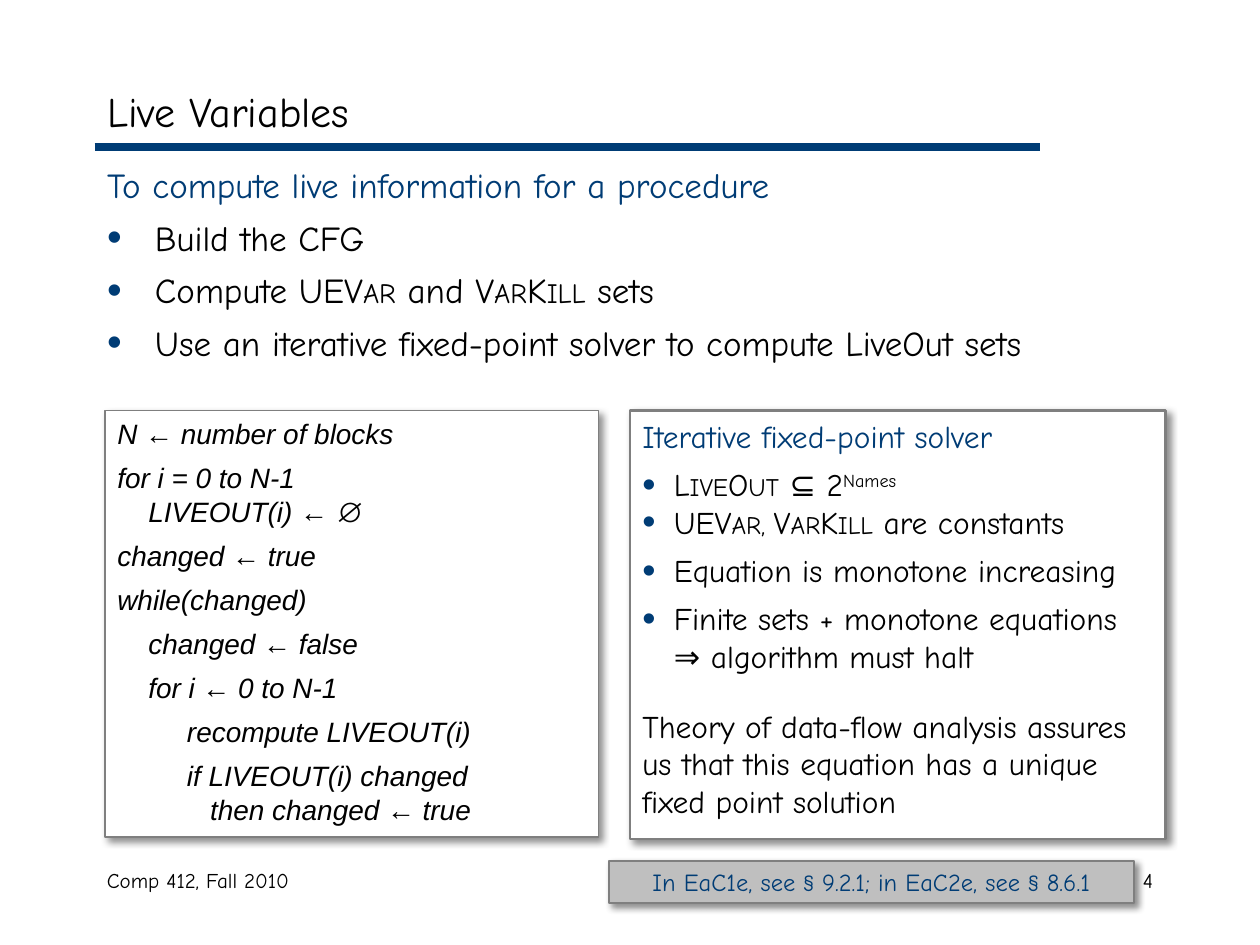
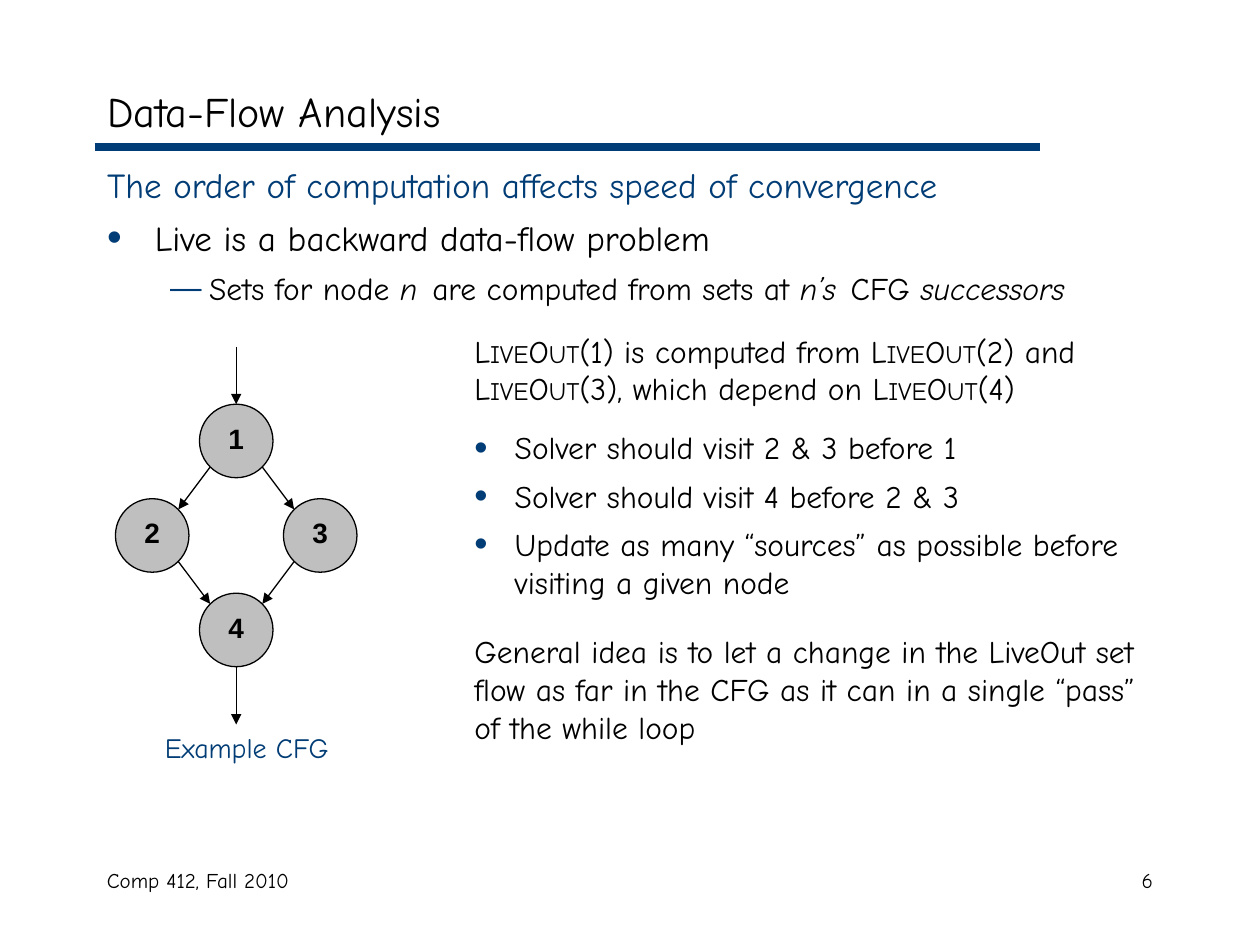
from dataclasses import dataclass, field

from lxml import etree
from pptx import Presentation
from pptx import util as u
from pptx.dml.color import RGBColor
from pptx.enum import shapes, text
from pptx.oxml import ns

SLIDE_WIDTH, SLIDE_HEIGHT = u.Inches(10), u.Inches(7.5)
COLUMNS, ROWS = 120, 90


@dataclass(frozen=True)
class Theme:
    accent: str = "003C75"
    ink: str = "000000"
    paper: str = "FFFFFF"
    grey: str = "BFBFBF"
    edge: str = "7F7F7F"
    font: str = "Comic Neue"
    code_font: str = "Arial"
    title: int = 24
    body: int = 20
    detail: int = 18
    label: int = 16
    note: int = 14
    footer: int = 12


THEME = Theme()
SMALL_CAPS = {"cap": "small"}
SUPERSCRIPT = {"baseline": "30000"}
WIDE = {"spc": "250"}
ITALIC = {"i": "1"}


@dataclass(frozen=True)
class Box:
    """A region in grid columns and rows."""
    left: float
    top: float
    width: float
    height: float

    def place(self):
        return (*grid_point(self.left, self.top), *grid_point(self.width, self.height))


@dataclass
class Para:
    """A paragraph; runs are plain strings or (string, run attributes) pairs."""
    runs: list
    size: int = THEME.detail
    color: str = THEME.ink
    font: str = THEME.font
    bold: bool = False
    italic: bool = False
    before: int = 6
    align: int = text.PP_ALIGN.LEFT
    bullet: str = ""
    bullet_size: int = 120
    indent: tuple = field(default=(0, 0))
    level: int = 0


def grid_point(column, row):
    return int(SLIDE_WIDTH * column / COLUMNS), int(SLIDE_HEIGHT * row / ROWS)


def set_attributes(target, values):
    for name, value in values.items():
        setattr(target, name, value)


def add_element(parent, tag, **attributes):
    return etree.SubElement(parent, ns.qn(tag), {k: str(v) for k, v in attributes.items()})


def add_bullet(properties, para):
    if not para.bullet:
        add_element(properties, "a:buNone")
        return
    color = add_element(properties, "a:buClr")
    add_element(color, "a:srgbClr", val=THEME.accent)
    add_element(properties, "a:buSzPct", val=para.bullet_size * 1000)
    add_element(properties, "a:buFont", typeface="Arial")
    add_element(properties, "a:buChar", char=para.bullet)


def write(shape, paras, anchor=text.MSO_ANCHOR.TOP, fit=text.MSO_AUTO_SIZE.NONE):
    frame = shape.text_frame
    set_attributes(frame, {"word_wrap": True, "vertical_anchor": anchor, "auto_size": fit})
    for index, para in enumerate(paras):
        paragraph = frame.add_paragraph() if index else frame.paragraphs[0]
        set_attributes(paragraph, {
            "alignment": para.align, "level": para.level,
            "space_before": u.Pt(para.before if index else 0)})
        properties = paragraph._p.get_or_add_pPr()
        for name, inches in zip(("marL", "indent"), para.indent):
            properties.set(name, str(u.Inches(inches)))
        add_bullet(properties, para)
        for item in para.runs:
            words, extras = (item, {}) if isinstance(item, str) else item
            run = paragraph.add_run()
            run.text = words
            set_attributes(run.font, {
                "name": para.font, "size": u.Pt(para.size),
                "bold": para.bold, "italic": para.italic})
            run.font.color.rgb = RGBColor.from_string(para.color)
            for name, value in extras.items():
                run._r.get_or_add_rPr().set(name, value)


def add_text(slide, box, paras, **options):
    write(slide.shapes.add_textbox(*box.place()), paras, **options)


def add_filled(parent, kind, box, fill, line, line_width):
    shape = parent.shapes.add_shape(kind, *box.place())
    shape.shadow.inherit = False
    shape.fill.solid()
    shape.fill.fore_color.rgb = RGBColor.from_string(fill)
    shape.line.color.rgb = RGBColor.from_string(line)
    shape.line.width = u.Pt(line_width)
    return shape


def add_panel(slide, box, paras, fill=THEME.paper, line_width=1.5):
    """Add a bordered text panel with a soft drop shadow."""
    panel = add_filled(slide, shapes.MSO_SHAPE.RECTANGLE, box, fill, THEME.edge, line_width)
    effects = panel._element.spPr.find(ns.qn("a:effectLst"))
    shadow = add_element(effects, "a:outerShdw", blurRad=u.Pt(4), dist=u.Pt(3),
                         dir=45 * 60000, algn="tl", rotWithShape=0)
    color = add_element(shadow, "a:srgbClr", val=THEME.ink)
    add_element(color, "a:alpha", val=43000)
    write(panel, paras, fit=text.MSO_AUTO_SIZE.SHAPE_TO_FIT_TEXT)


def add_line(parent, start, end, color, width, arrow=False):
    line = parent.shapes.add_connector(
        shapes.MSO_CONNECTOR.STRAIGHT, *grid_point(*start), *grid_point(*end))
    line.line.color.rgb = RGBColor.from_string(color)
    line.line.width = u.Pt(width)
    if arrow:
        add_element(line.line._get_or_add_ln(), "a:tailEnd", type="triangle")
    add_element(line._element.spPr, "a:effectLst")


def bullets(items, indent, **options):
    return [Para(item if isinstance(item, list) else [item], bullet="•", indent=indent, **options)
            for item in items]


def body_paras(heading, items):
    indent = (0.38, -0.38)
    return [Para([heading], size=THEME.body, color=THEME.accent, indent=indent),
            *bullets(items, indent, size=THEME.body)]


def add_lecture_slide(presentation, number, title, body, body_box):
    """Start a slide with its title, rule, body list and footers."""
    slide = presentation.slides.add_slide(presentation.slide_layouts[1])
    heading, content = slide.placeholders
    for placeholder, box in ((heading, Box(9, 7, 102, 7)), (content, body_box)):
        set_attributes(placeholder, dict(zip(("left", "top", "width", "height"), box.place())))
    write(heading, [Para([title], size=THEME.title)], anchor=text.MSO_ANCHOR.MIDDLE)
    write(content, body)
    add_line(slide, (9, 14), (99, 14), THEME.accent, 4.5)
    add_text(slide, Box(9, 82, 38, 6), [Para(["Comp 412, Fall 2010"], size=THEME.footer)])
    add_text(slide, Box(86, 82, 25, 6),
             [Para([str(number)], size=THEME.footer, align=text.PP_ALIGN.RIGHT)])
    return slide


def add_solver_code(slide, box):
    lines = [
        ("N ← number of blocks", 0),
        ("for i = 0 to N-1", 6),
        ("    LIVEOUT(i) ← ∅", 0),
        ("changed ← true", 6),
        ("while(changed)", 6),
        ("    changed ← false", 6),
        ("    for i ← 0 to N-1", 6),
        ("         recompute LIVEOUT(i)", 6),
        ("         if LIVEOUT(i) changed", 6),
        ("            then changed ← true", 0),
    ]
    add_panel(slide, box, [
        Para([line], size=THEME.label, font=THEME.code_font, italic=True, before=before)
        for line, before in lines], line_width=1)


def add_solver_facts(slide, box):
    facts = bullets([
        [("LiveOut", SMALL_CAPS), " ⊆ 2", ("Names", SUPERSCRIPT)],
        [("UEVar, VarKill", SMALL_CAPS), " are constants"],
        "Equation is monotone increasing",
        "Finite sets + monotone equations ⇒ algorithm must halt",
    ], (0.25, -0.25))
    facts[1].before = 0
    add_panel(slide, box, [
        Para(["Iterative fixed-point solver"], color=THEME.accent),
        *facts,
        Para(["Theory of data-flow analysis assures us that this equation "
              "has a unique fixed point solution"], before=18)])


def add_flow_graph(slide, box):
    """Draw the four-node diamond with entry and exit arrows, and its caption."""
    diameter, column_step, row_step, stem = 7, 8, 9, 5.5
    radius = diameter / 2
    diagonal = radius * 0.71
    centres = {
        name: (box.left + radius + column * column_step,
               box.top + stem + radius + row * row_step)
        for name, column, row in (("1", 1, 0), ("2", 0, 1), ("3", 2, 1), ("4", 1, 2))}
    graph = slide.shapes.add_group_shape()
    for name, (x, y) in centres.items():
        node = add_filled(graph, shapes.MSO_SHAPE.OVAL,
                          Box(x - radius, y - radius, diameter, diameter),
                          THEME.grey, THEME.ink, 0.75)
        write(node, [Para([name], size=THEME.label, font=THEME.code_font, bold=True,
                          align=text.PP_ALIGN.CENTER)])
    edges = []
    for source, target in ("12", "13", "34", "24"):
        (x1, y1), (x2, y2) = centres[source], centres[target]
        side = diagonal if x2 > x1 else -diagonal
        edges.append(((x1 + side, y1 + diagonal), (x2 - side, y2 - diagonal)))
    middle = centres["1"][0]
    exit_top = centres["4"][1] + radius
    edges += [((middle, box.top), (middle, box.top + stem)),
              ((middle, exit_top), (middle, exit_top + stem))]
    for start, end in edges:
        add_line(graph, start, end, THEME.ink, 0.75, arrow=True)
    add_text(slide, Box(box.left, exit_top + stem, box.width, 4.4),
             [Para(["Example CFG"], size=THEME.label, color=THEME.accent,
                   align=text.PP_ALIGN.CENTER)])


def add_visit_order(slide, box):
    live_out = ("LiveOut", SMALL_CAPS)
    order = bullets([
        "Solver should visit 2 & 3 before 1",
        "Solver should visit 4 before 2 & 3",
        "Update as many “sources” as possible before visiting a given node",
    ], (0.32, -0.32))
    order[0].before = 12
    add_text(slide, box, [
        Para([live_out, "(1) is computed from ", live_out, "(2) and ", live_out,
              "(3), which depend on ", live_out, "(4)"]),
        *order,
        Para(["General idea is to let a change in the LiveOut set flow as far in the CFG "
              "as it can in a single “pass” of the while loop"], before=18)])


def build_live_variables(presentation):
    body = body_paras("To compute live information for a procedure", [
        "Build the CFG",
        ["Compute ", ("UEVar", SMALL_CAPS), " and ", ("VarKill", SMALL_CAPS), " sets"],
        "Use an iterative fixed-point solver to compute LiveOut sets"])
    slide = add_lecture_slide(presentation, 4, "Live Variables", body, Box(9, 15, 102, 65))
    add_solver_code(slide, Box(10, 39.1, 47, 40.6))
    add_solver_facts(slide, Box(60, 39.1, 51, 40.8))
    add_panel(slide, Box(58, 82, 50, 4),
              [Para(["In EaC1e, see § 9.2.1; in EaC2e, see § 8.6.1"], size=THEME.note,
                    color=THEME.accent, align=text.PP_ALIGN.CENTER)], fill=THEME.grey)


def build_data_flow(presentation):
    body = body_paras("The order of computation affects speed of convergence",
                      ["Live is a backward data-flow problem"])
    body.append(Para(
        ["Sets for node ", ("n", ITALIC), (" ", WIDE), "are computed from sets at ",
         ("n’s", ITALIC), (" ", WIDE), "CFG ", ("successors", ITALIC)],
        bullet="—", bullet_size=100, indent=(0.81, -0.31), level=1))
    slide = add_lecture_slide(presentation, 6, "Data-Flow Analysis", body, Box(9, 15, 102, 18))
    add_flow_graph(slide, Box(11, 33, 25, 36))
    add_visit_order(slide, Box(44, 31, 67, 47))


def main():
    presentation = Presentation()
    set_attributes(presentation, {"slide_width": SLIDE_WIDTH, "slide_height": SLIDE_HEIGHT})
    build_live_variables(presentation)
    build_data_flow(presentation)
    presentation.save("out.pptx")


if __name__ == "__main__":
    main()
